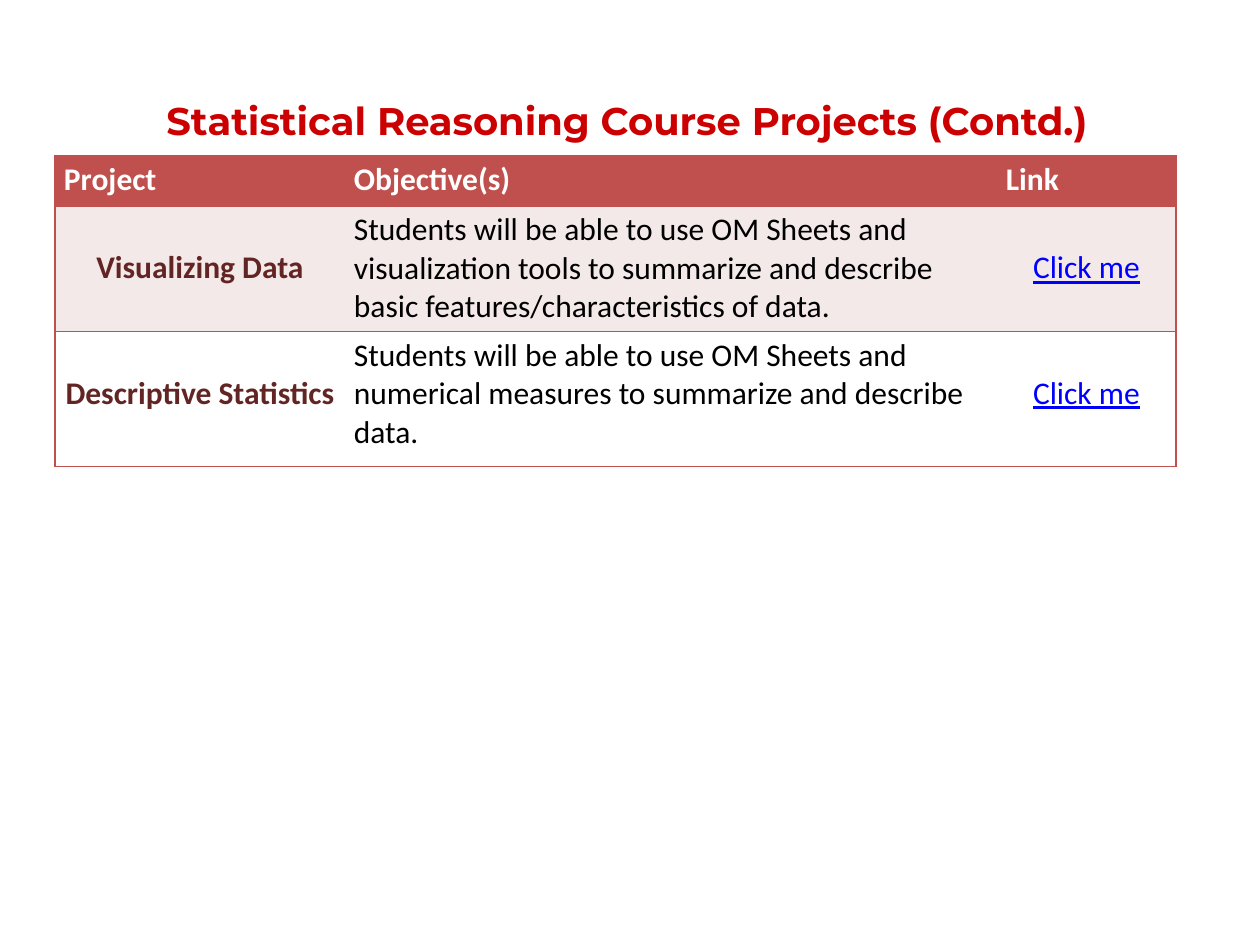
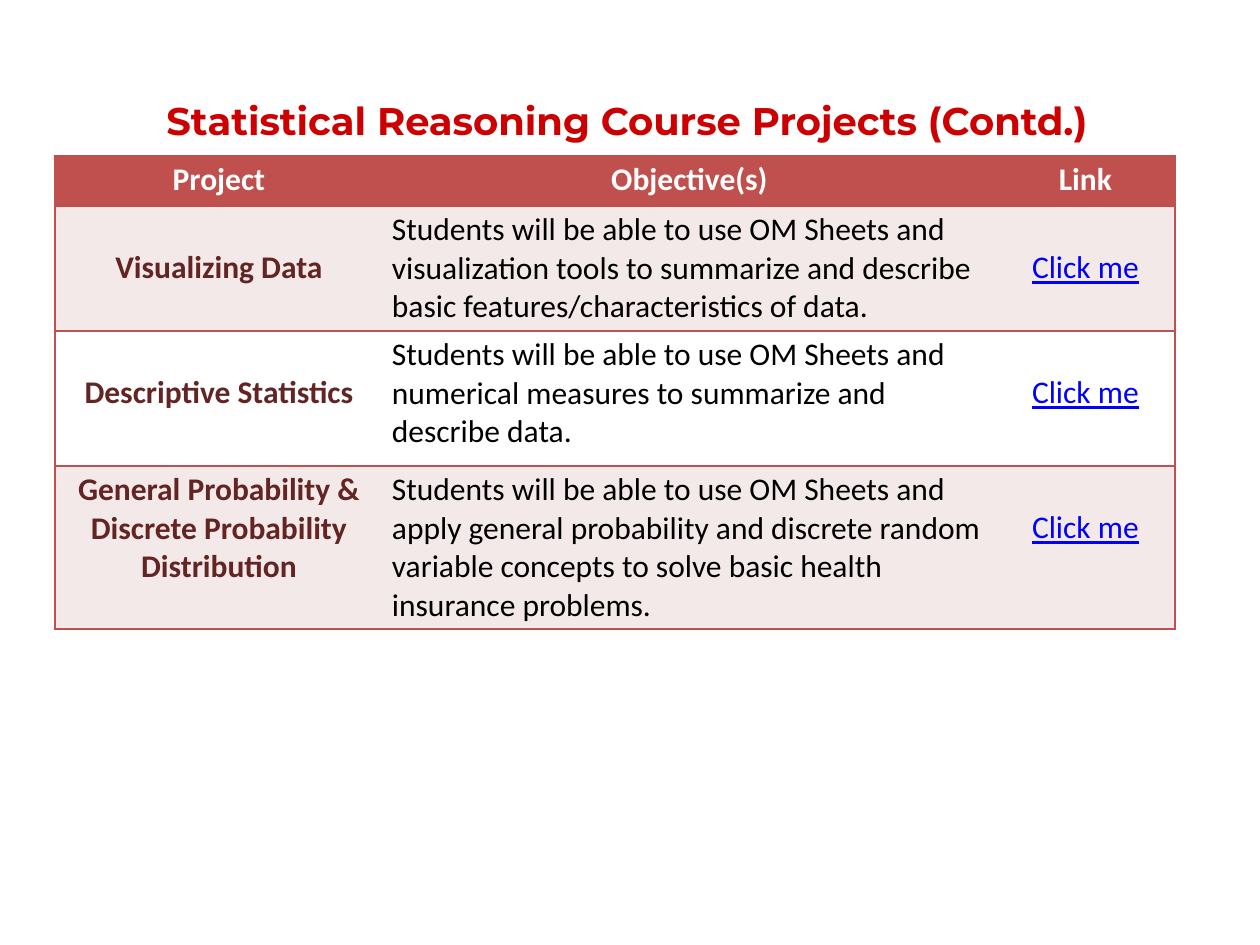
import pptx
import pptx.util
import pptx.dml.color
import pptx.enum.text
import pptx.oxml
import pptx.oxml.ns
import lxml.etree

RGBColor = pptx.dml.color.RGBColor
WHITE = RGBColor(0xFF, 0xFF, 0xFF)
BLACK = RGBColor(0, 0, 0)
TITLE_RED = RGBColor(0xCC, 0, 0)
HEADER_RED = RGBColor(0xC0, 0x50, 0x4D)
BAND_PINK = RGBColor(0xF4, 0xE9, 0xE9)
PROJECT_BROWN = RGBColor(0x63, 0x25, 0x23)
LINK_BLUE = RGBColor(0, 0, 0xFF)

LEFT = pptx.enum.text.PP_ALIGN.LEFT
CENTER = pptx.enum.text.PP_ALIGN.CENTER
PIXEL = 914400 // 126
TEXT_LINE = 38  # height of one 18 point line

TITLE = "Statistical Reasoning Course Projects\u00a0(Contd.)"
HEADINGS = ["Project", "Objective(s)", "Link"]
ROW_HEIGHTS = [50, 125, 135, 163]

# Project, lines its name is lowered by, objective
GOAL = "Students will be able to use OM Sheets and "
PROJECTS = [
    ("Visualizing Data", 1,
     GOAL + "visualization tools to summarize and describe "
     "basic features/characteristics of data."),
    ("Descriptive Statistics", 1,
     GOAL + "numerical measures to summarize and describe data."),
    ("General Probability & Discrete Probability Distribution", 0,
     GOAL + "apply general probability and discrete random "
     "variable concepts to solve basic health insurance problems."),
]


def px(pixels):
    return pptx.util.Emu(pixels * PIXEL)


class ProjectDeck:
    def __init__(self):
        self.deck = pptx.Presentation()
        self.deck.slide_width = pptx.util.Inches(10)
        self.deck.slide_height = pptx.util.Inches(7.5)
        self.slide = None

    def add_slide(self):
        self.slide = self.deck.slides.add_slide(self.deck.slide_layouts[6])

    def add_text(self, frame, text, color, size=18, font="Calibri", bold=False,
                 underline=False, align=LEFT):
        para = frame.paragraphs[0]
        para.alignment = align
        span = para.add_run()
        span.text = text
        span.font.name = font
        span.font.size = pptx.util.Pt(size)
        span.font.bold = bold
        span.font.underline = underline
        span.font.color.rgb = color

    def title(self, text, width, height):
        box = self.slide.shapes.add_textbox(px(154), px(91), px(width), px(height))
        box.text_frame.word_wrap = True
        self.add_text(box.text_frame, text, TITLE_RED, 22, "Montserrat", bold=True)

    def borders(self, cell, visible):
        """Draw the sides named in visible (L, R, T, B), and no others."""
        properties = cell._tc.get_or_add_tcPr()
        for side in "LRTB":
            line = lxml.etree.SubElement(
                properties, pptx.oxml.ns.qn("a:ln" + side), w="12700")
            if side in visible:
                fill = lxml.etree.SubElement(line, pptx.oxml.ns.qn("a:solidFill"))
                lxml.etree.SubElement(
                    fill, pptx.oxml.ns.qn("a:srgbClr"), val=str(HEADER_RED))
            else:
                lxml.etree.SubElement(line, pptx.oxml.ns.qn("a:noFill"))

    def cell(self, cell, sides, fill, text, color, lowered=0, **style):
        self.borders(cell, sides)
        cell.fill.solid()
        cell.fill.fore_color.rgb = fill
        cell.margin_left = cell.margin_right = px(9)
        cell.margin_top = px(5 + lowered * TEXT_LINE)
        cell.margin_bottom = px(5)
        self.add_text(cell.text_frame, text, color, **style)

    def project_table(self, projects, widths, heading_align):
        heights = ROW_HEIGHTS[:len(projects) + 1]
        table = self.slide.shapes.add_table(
            len(heights), len(widths), px(55), px(156),
            px(sum(widths)), px(sum(heights))).table
        table.first_row = table.horz_banding = False
        for column, width in zip(table.columns, widths):
            column.width = px(width)
        for row, height in zip(table.rows, heights):
            row.height = px(height)

        # Only the outer sides have vertical lines
        column_sides = ["LTB", "TB", "RTB"]
        for index, heading in enumerate(HEADINGS):
            self.cell(table.cell(0, index), column_sides[index], HEADER_RED,
                      heading, WHITE, bold=True, align=heading_align)
        for row, (name, lowered, objective) in enumerate(projects, 1):
            fill = BAND_PINK if row % 2 else WHITE
            self.cell(table.cell(row, 0), column_sides[0], fill, name,
                      PROJECT_BROWN, lowered, bold=True, align=CENTER)
            self.cell(table.cell(row, 1), column_sides[1], fill, objective, BLACK)
            self.cell(table.cell(row, 2), column_sides[2], fill, "Click me",
                      LINK_BLUE, 1, underline=True, align=CENTER)


show = ProjectDeck()

# Slide 1: two projects
show.add_slide()
show.project_table(PROJECTS[:2], [290, 652, 179], LEFT)
show.title(TITLE, 1024, 59)

# Slide 2: three projects
show.add_slide()
show.project_table(PROJECTS, [328, 613, 179], CENTER)
show.title(TITLE, 1019, 106)

show.deck.save("out.pptx")
